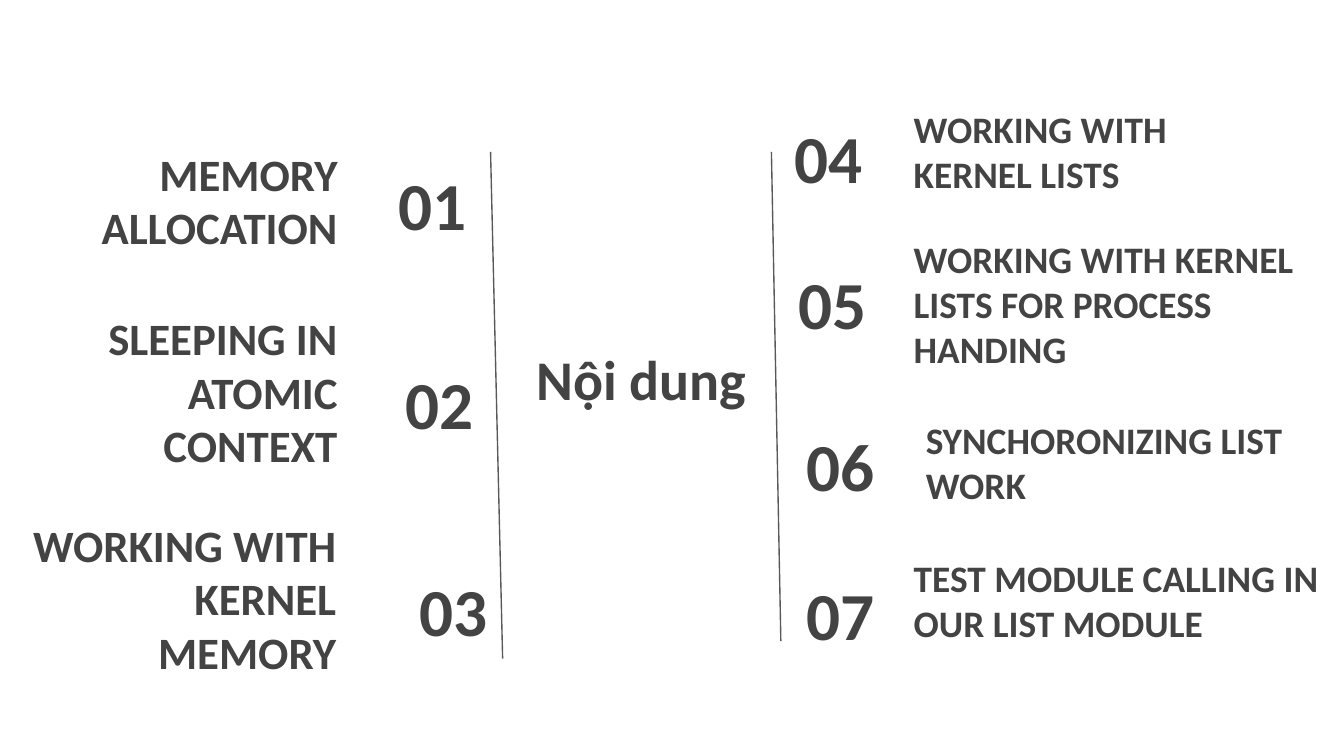
from typing import NamedTuple

from lxml.etree import SubElement
from pptx import Presentation
from pptx.dml.color import RGBColor
from pptx.enum.shapes import MSO_CONNECTOR
from pptx.enum.text import MSO_ANCHOR, MSO_AUTO_SIZE, PP_ALIGN
from pptx.oxml.ns import qn
from pptx.util import Inches, Pt

COLORS = {"text": "434343", "line": "595959", "background": "FFFFFF"}
FONT = "Calibri"
SLIDE_WIDTH = 10
SLIDE_HEIGHT = SLIDE_WIDTH * 9 / 16
NUMBER_HEIGHT = 0.63


class Frame(NamedTuple):
    left: float
    top: float
    width: float
    height: float


class Style(NamedTuple):
    size: int
    align: PP_ALIGN
    anchor: MSO_ANCHOR


class Topic(NamedTuple):
    label: str
    label_frame: Frame
    number_left: float
    number_top: float


class Column(NamedTuple):
    align: PP_ALIGN
    label_size: int
    number_width: float
    topics: list[Topic]


class Divider(NamedTuple):
    start_x: float
    start_y: float
    end_x: float
    end_y: float


TITLE_STYLE = Style(30, PP_ALIGN.CENTER, MSO_ANCHOR.MIDDLE)

COLUMNS = [
    Column(PP_ALIGN.RIGHT, 24, 1.21, [
        Topic("MEMORY ALLOCATION", Frame(0.07, 1.36, 2.54, 0.63), 2.36, 1.2),
        Topic("SLEEPING IN ATOMIC CONTEXT", Frame(0.04, 2.3, 2.57, 1.31), 2.41, 2.68),
        Topic("WORKING WITH KERNEL MEMORY", Frame(0.04, 3.84, 2.56, 1.31), 2.52, 4.22),
    ]),
    Column(PP_ALIGN.LEFT, 20, 1.17, [
        Topic("WORKING WITH KERNEL LISTS", Frame(6.7, 0.93, 2.79, 0.63), 5.81, 0.85),
        Topic("WORKING WITH KERNEL LISTS FOR PROCESS HANDING",
              Frame(6.7, 1.64, 3.3, 1.22), 5.84, 1.94),
        Topic("SYNCHORONIZING LIST WORK", Frame(6.79, 3.24, 3.13, 0.63), 5.9, 3.14),
        Topic("TEST MODULE CALLING IN OUR LIST MODULE",
              Frame(6.7, 3.93, 3.22, 0.97), 5.9, 4.25),
    ]),
]

DIVIDERS = [Divider(3.65, 1.13, 3.74, 4.9), Divider(5.74, 1.13, 5.81, 4.77)]


def set_all(target, values: dict) -> None:
    for name, value in values.items():
        setattr(target, name, value)


def write_text(box, text: str, frame: Frame, style: Style) -> None:
    """Place a box or placeholder and fill it with one bold paragraph."""
    set_all(box, {side: Inches(value) for side, value in frame._asdict().items()})
    margins = ("margin_left", "margin_top", "margin_right", "margin_bottom")
    set_all(box.text_frame, {
        "word_wrap": True,
        "auto_size": MSO_AUTO_SIZE.NONE,
        "vertical_anchor": style.anchor,
        **dict.fromkeys(margins, Inches(0.1)),
    })
    para = box.text_frame.paragraphs[0]
    para.alignment = style.align
    span = para.add_run()
    span.text = text
    set_all(span.font, {"name": FONT, "size": Pt(style.size), "bold": True})
    span.font.color.rgb = RGBColor.from_string(COLORS["text"])


def add_text(page, text: str, frame: Frame, style: Style) -> None:
    box = page.shapes.add_textbox(*(Inches(value) for value in frame))
    write_text(box, text, frame, style)


def add_column(page, column: Column, first_number: int) -> None:
    label_style = Style(column.label_size, column.align, MSO_ANCHOR.BOTTOM)
    number_style = Style(36, column.align, MSO_ANCHOR.MIDDLE)
    for number, topic in enumerate(column.topics, first_number):
        number_frame = Frame(topic.number_left, topic.number_top,
                             column.number_width, NUMBER_HEIGHT)
        add_text(page, f"{number:02}", number_frame, number_style)
        add_text(page, topic.label, topic.label_frame, label_style)


def add_divider(page, divider: Divider) -> None:
    line = page.shapes.add_connector(
        MSO_CONNECTOR.STRAIGHT, *(Inches(value) for value in divider))
    line.line.width = Pt(0.75)
    line.line.color.rgb = RGBColor.from_string(COLORS["line"])
    SubElement(line._element.spPr, qn("a:effectLst"))


def main() -> None:
    deck = Presentation()
    set_all(deck, {"slide_width": Inches(SLIDE_WIDTH), "slide_height": Inches(SLIDE_HEIGHT)})
    page = deck.slides.add_slide(deck.slide_layouts[5])
    page.background.fill.solid()
    page.background.fill.fore_color.rgb = RGBColor.from_string(COLORS["background"])

    write_text(page.shapes.title, "Nội dung", Frame(3.48, 2.3, 2.59, 1.03), TITLE_STYLE)
    for divider in DIVIDERS:
        add_divider(page, divider)
    first_number = 1
    for column in COLUMNS:
        add_column(page, column, first_number)
        first_number += len(column.topics)
    deck.save("out.pptx")


if __name__ == "__main__":
    main()
